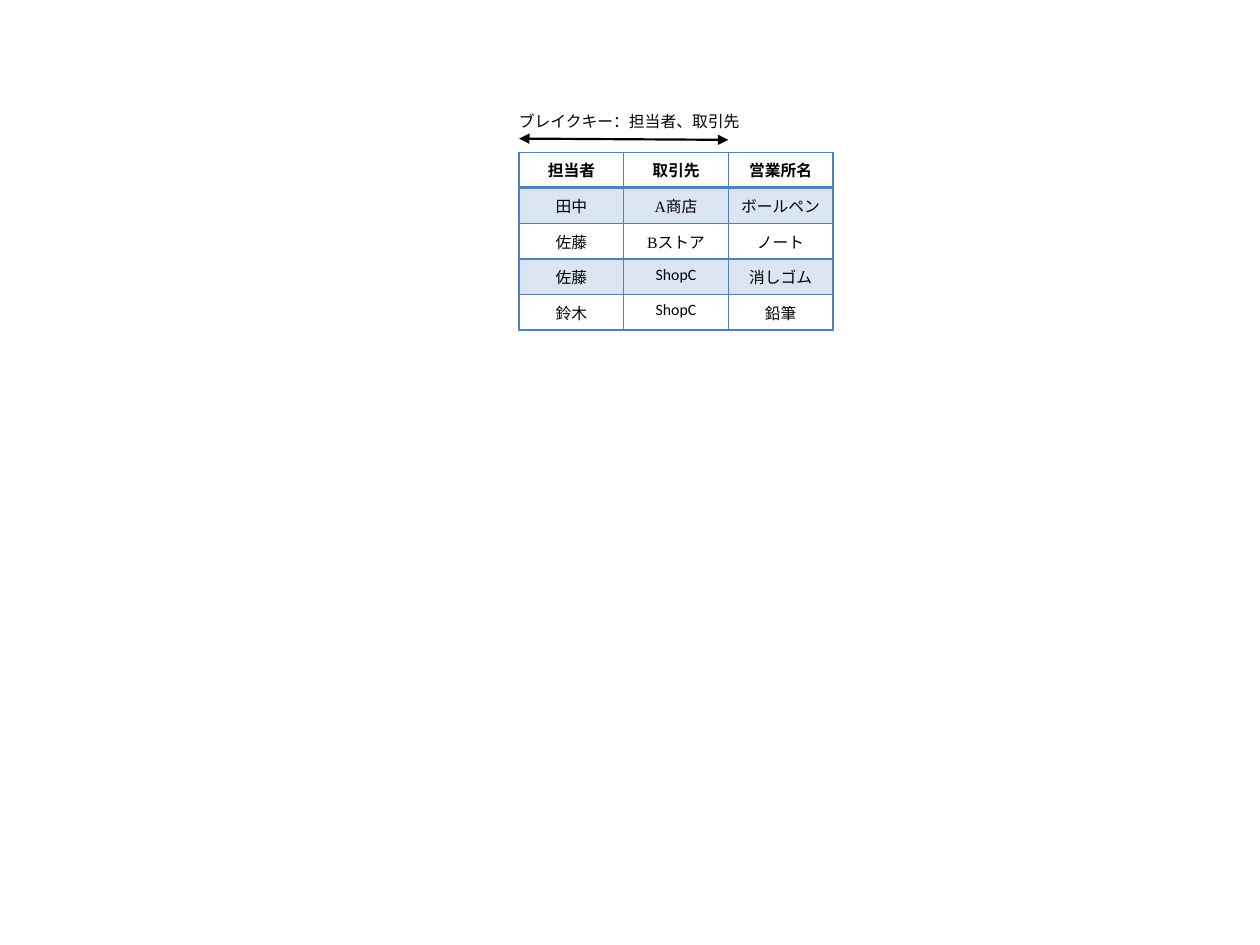
from lxml.etree import SubElement
from pptx import Presentation
from pptx.dml.color import RGBColor
from pptx.enum.shapes import MSO_CONNECTOR as Connector
from pptx.enum.text import MSO_AUTO_SIZE as AutoSize, PP_ALIGN as Align
from pptx.oxml.ns import qn
from pptx.util import Inches, Pt

COLORS = {"text": "000000", "accent": "4F81BD"}
SANS, SERIF = "Calibri", "Times New Roman"
HEADER = ["担当者", "取引先", "営業所名"]
RECORDS = [
    [("田中", SANS), ("A商店", SERIF), ("ボールペン", SERIF)],
    [("佐藤", SANS), ("Bストア", SERIF), ("ノート", SERIF)],
    [("佐藤", SERIF), ("ShopC", SANS), ("消しゴム", SERIF)],
    [("鈴木", SERIF), ("ShopC", SANS), ("鉛筆", SERIF)],
]


class SlideBuilder:
    """Holds the text style and the slide being filled."""

    def __init__(self, slide, size=9):
        self.slide = slide
        self.size = Pt(size)

    def color(self, name):
        return RGBColor.from_string(COLORS[name])

    def set_text(self, frame, text, font=SANS, bold=False, align=Align.LEFT):
        para = frame.paragraphs[0]
        para.text = text
        para.alignment = align
        para.font.name = font
        para.font.size = self.size
        para.font.bold = bold
        para.font.color.rgb = self.color("text")

    def label(self, text, left, top, width, height):
        box = self.slide.shapes.add_textbox(
            Inches(left), Inches(top), Inches(width), Inches(height))
        box.text_frame.word_wrap = True
        box.text_frame.auto_size = AutoSize.SHAPE_TO_FIT_TEXT
        self.set_text(box.text_frame, text)

    def double_arrow(self, x1, y1, x2, y2):
        arrow = self.slide.shapes.add_connector(
            Connector.STRAIGHT, Inches(x1), Inches(y1), Inches(x2), Inches(y2))
        arrow.line.color.rgb = self.color("text")
        arrow.line.width = Pt(1.25)
        line = arrow.line._get_or_add_ln()
        for end in ("a:headEnd", "a:tailEnd"):
            SubElement(line, qn(end), type="triangle")
        SubElement(arrow._element.spPr, qn("a:effectLst"))

    def border(self, cell, side, width):
        line = SubElement(cell._tc.get_or_add_tcPr(), qn(f"a:ln{side}"),
                          w=str(Pt(width)))
        fill = SubElement(line, qn("a:solidFill"))
        SubElement(fill, qn("a:srgbClr"), val=COLORS["accent"])

    def shade(self, cell, banded):
        """Tint a banded cell with the accent at 20 % opacity; clear the others."""
        if not banded:
            cell.fill.background()
            return
        cell.fill.solid()
        cell.fill.fore_color.rgb = self.color("accent")
        tint = cell._tc.tcPr.find(f"{qn('a:solidFill')}/{qn('a:srgbClr')}")
        SubElement(tint, qn("a:alpha"), val="20000")

    def table(self, header, records, left, top, column_width, row_height):
        rows = [[(text, SANS) for text in header]] + records
        frame = self.slide.shapes.add_table(
            len(rows), len(header), Inches(left), Inches(top),
            Inches(column_width * len(header)), Inches(row_height * len(rows)))
        table = frame.table
        table.horz_banding = False
        table.first_row = False
        for r, row in enumerate(rows):
            for c, (text, font) in enumerate(row):
                cell = table.cell(r, c)
                self.set_text(cell.text_frame, text, font, r == 0, Align.CENTER)
                widths = {"L": 1, "R": 1, "T": 2 if r == 1 else 1,
                          "B": 2 if r == 0 else 1}
                for side, width in widths.items():
                    self.border(cell, side, width)
                self.shade(cell, banded=r % 2 == 1)


def main():
    deck = Presentation()
    deck.slide_width, deck.slide_height = Inches(10), Inches(7.5)
    page = SlideBuilder(deck.slides.add_slide(deck.slide_layouts[6]))
    page.table(HEADER, RECORDS, 4.12, 1.21, column_width=0.83, row_height=0.25)
    page.double_arrow(4.12, 1.1, 5.78, 1.11)
    page.label("ブレイクキー：担当者、取引先", 4.02, 0.84, 2.12, 0.25)
    deck.save("out.pptx")


if __name__ == "__main__":
    main()
